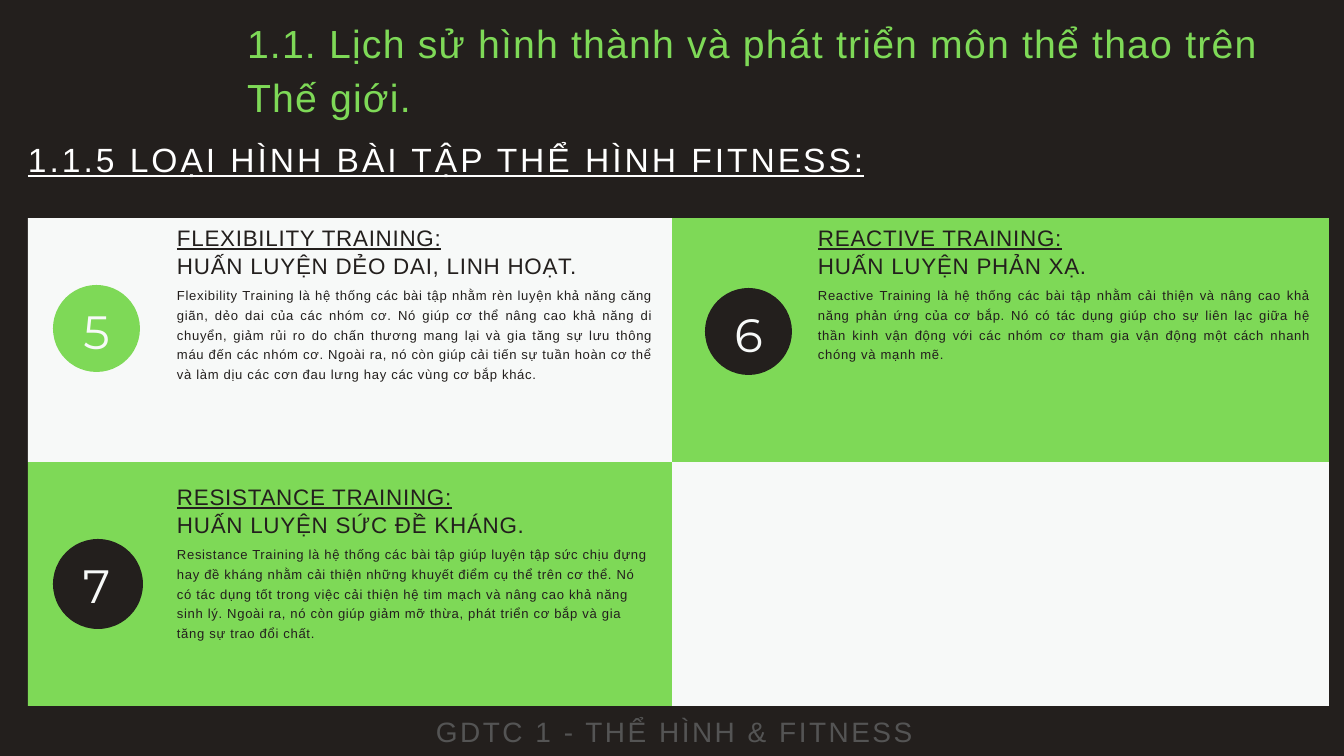
import pptx
import pptx.dml.color
import pptx.enum.shapes
import pptx.enum.text
import pptx.util

ALIGN = pptx.enum.text.PP_ALIGN
SHAPE = pptx.enum.shapes.MSO_SHAPE
DARK, GREEN, LIGHT, WHITE, GRAY = "231F1D", "7ED957", "F7F9F8", "FFFFFF", "545454"


def px(length):
    return pptx.util.Emu(round(length * 914400 / 67.2))


def rgb(value):
    return pptx.dml.color.RGBColor.from_string(value)


class Board:
    def __init__(self, width, height, background):
        self.deck = pptx.Presentation()
        self.deck.slide_width, self.deck.slide_height = px(width), px(height)
        self.slide = self.deck.slides.add_slide(self.deck.slide_layouts[5])
        self.slide.background.fill.solid()
        self.slide.background.fill.fore_color.rgb = rgb(background)

    def block(self, preset, box, color):
        block = self.slide.shapes.add_shape(preset, *map(px, box))
        block.shadow.inherit = False
        block.fill.solid()
        block.fill.fore_color.rgb = rgb(color)
        block.line.fill.background()

    def typeset(self, frame, lines, size, leading, color, spacing=0,
                align=ALIGN.LEFT, font="Arial", underline=False):
        frame.margin_left = frame.margin_right = 0
        frame.margin_top = frame.margin_bottom = 0
        frame.word_wrap = True
        frame.auto_size = pptx.enum.text.MSO_AUTO_SIZE.NONE
        frame.vertical_anchor = pptx.enum.text.MSO_ANCHOR.TOP
        frame.text = "\n".join(lines)
        for index, paragraph in enumerate(frame.paragraphs):
            paragraph.alignment = align
            paragraph.line_spacing = pptx.util.Pt(leading)
            for run in paragraph.runs:
                run.font.size = pptx.util.Pt(size)
                run.font.name = font
                run.font.color.rgb = rgb(color)
                run.font.underline = underline and index == 0
                run._r.get_or_add_rPr().set("spc", str(round(spacing * 100)))

    def title(self, box, lines, *style, **options):
        title = self.slide.shapes.title
        title.left, title.top, title.width, title.height = map(px, box)
        self.typeset(title.text_frame, lines, *style, **options)

    def text(self, box, lines, *style, **options):
        textbox = self.slide.shapes.add_textbox(*map(px, box))
        self.typeset(textbox.text_frame, lines, *style, **options)

    def badge(self, left, top, size, color, number):
        self.block(SHAPE.OVAL, (left, top, size, size), color)
        self.text((left + 11, top + 9, 65, 62), [number], 50, 70, LIGHT,
                  align=ALIGN.CENTER, font="Montserrat")

    def training(self, left, top, width, heading, description, align):
        self.text((left, top, 450, 57), heading, 24, 30, DARK, 0.8, underline=True)
        self.text((left, top + 61, width, 99), description, 14, 21, DARK, 0.7, align)


TRAININGS = [
    dict(badge=(53, 285, 87, GREEN, "5"), left=177, top=223, width=476,
         heading=["FLEXIBILITY TRAINING:", "HUẤN LUYỆN DẺO DAI, LINH HOẠT."],
         description=[
             "Flexibility Training là hệ thống các bài tập nhằm rèn luyện khả năng căng "
             "giãn, dẻo dai của các nhóm cơ. Nó giúp cơ thể nâng cao khả năng di chuyển, "
             "giảm rủi ro do chấn thương mang lại và gia tăng sự lưu thông máu đến các "
             "nhóm cơ. Ngoài ra, nó còn giúp cải tiến sự tuần hoàn cơ thể",
             "và làm dịu các cơn đau lưng hay các vùng cơ bắp khác."],
         align=ALIGN.JUSTIFY),
    dict(badge=(705, 288, 87, DARK, "6"), left=818, top=223, width=493,
         heading=["REACTIVE TRAINING:", "HUẤN LUYỆN PHẢN XẠ."],
         description=[
             "Reactive Training là hệ thống các bài tập nhằm cải thiện và nâng cao khả "
             "năng phản ứng của cơ bắp. Nó có tác dụng giúp cho sự liên lạc giữa hệ thần "
             "kinh vận động với các nhóm cơ tham gia vận động một cách nhanh chóng và "
             "mạnh mẽ."],
         align=ALIGN.JUSTIFY),
    dict(badge=(53, 539, 90, DARK, "7"), left=177, top=482, width=476,
         heading=["RESISTANCE TRAINING:", "HUẤN LUYỆN SỨC ĐỀ KHÁNG."],
         description=[
             "Resistance Training là hệ thống các bài tập giúp luyện tập sức chịu đựng "
             "hay đề kháng nhằm cải thiện những khuyết điểm cụ thể trên cơ thể. Nó có tác "
             "dụng tốt trong việc cải thiện hệ tim mạch và nâng cao khả năng sinh lý. "
             "Ngoài ra, nó còn giúp giảm mỡ thừa, phát triển cơ bắp và gia tăng sự trao "
             "đổi chất."],
         align=ALIGN.LEFT),
]


def main():
    board = Board(1344, 756, DARK)
    for row, top in enumerate((218, 462)):
        for column, (left, width) in enumerate(((28, 644), (672, 657))):
            color = LIGHT if row == column else GREEN
            board.block(SHAPE.RECTANGLE, (left, top, width, 244), color)
    for training in TRAININGS:
        details = dict(training)
        board.badge(*details.pop("badge"))
        board.training(**details)
    board.title((247, 11, 1064, 108),
                ["1.1. Lịch sử hình thành và phát triển môn thể thao trên Thế giới."],
                42, 58.8, GREEN, 1.3)
    board.text((28, 132, 891, 47), ["1.1.5 LOẠI HÌNH BÀI TẬP THỂ HÌNH FITNESS:"],
               36, 50.4, WHITE, 3.2, underline=True)
    board.text((430, 709, 489, 39), ["GDTC 1 - THỂ HÌNH & FITNESS"],
               30, 42, GRAY, 2.7, ALIGN.CENTER)
    board.deck.save("out.pptx")


if __name__ == "__main__":
    main()
